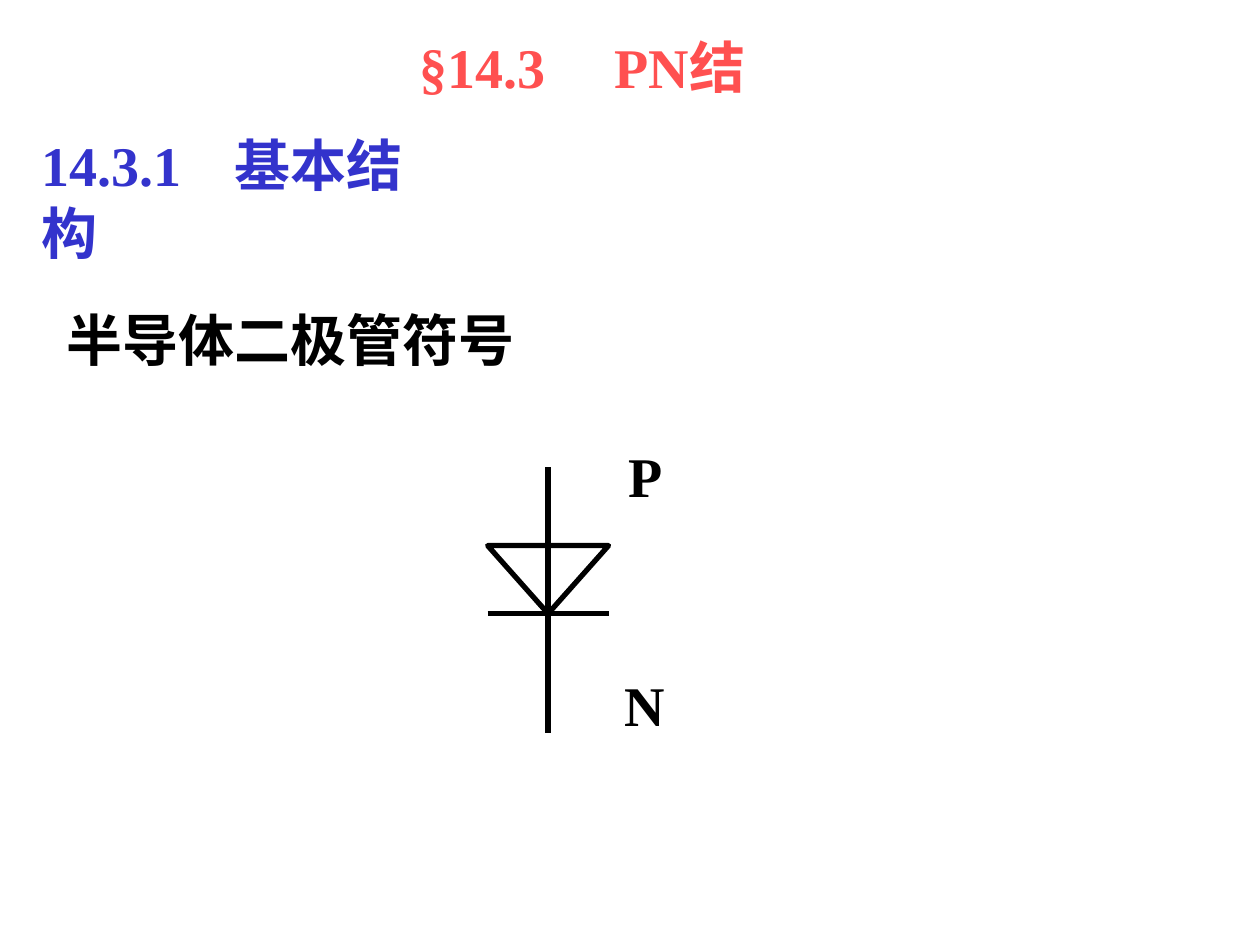
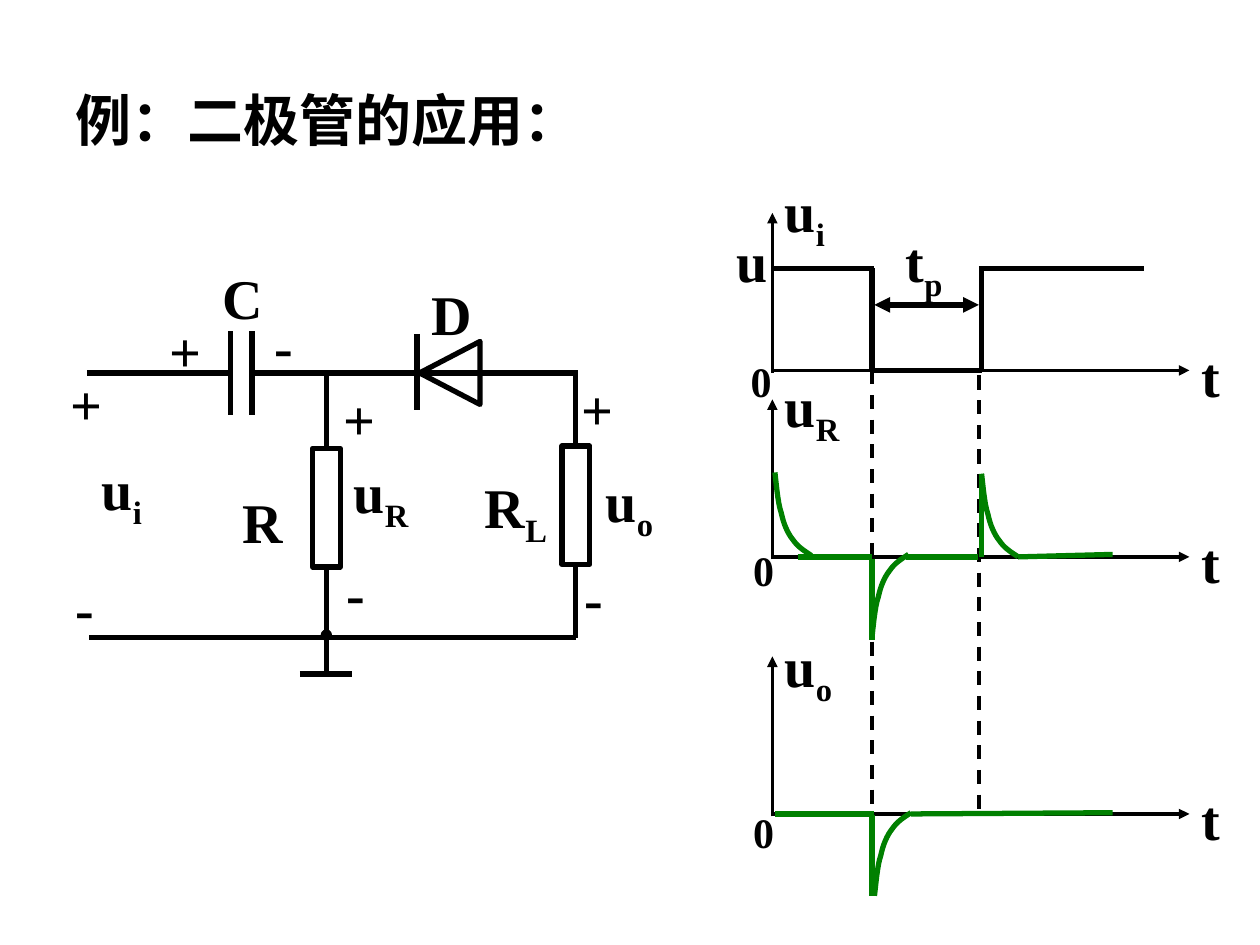
from dataclasses import dataclass

from lxml import etree
from pptx import Presentation
from pptx.dml.color import RGBColor
from pptx.enum import dml, shapes, text
from pptx.oxml import ns
from pptx.util import Inches, Pt


@dataclass(frozen=True)
class Theme:
    ink: str = "000000"
    title: str = "FF5050"
    section: str = "3333CC"
    signal: str = "008000"
    font: str = "Times New Roman"
    body: int = 32
    small: int = 24
    thick: float = 3
    thin: float = 2


THEME = Theme()

HEADINGS = [
    ("半导体二极管符号", (0.23, 2.37, 4.15, 0.64), dict(centred=True)),
    ("§14.3\tPN结", (3.23, 0.21, 3.33, 0.64), dict(color=THEME.title, tab=1.55)),
    ("14.3.1\t基本结构", (0.23, 0.99, 3.47, 1.17), dict(color=THEME.section, tab=1.53)),
]
DIODE_SYMBOL = (3.87, 4.33, 0.96, 0.54)
DIODE_LEAD = (3.71, 5.82)
TERMINALS = [("P", 3.45), ("N", 5.27)]

EXAMPLE_TITLE = "例：二极管的应用："
TOP_WIRE, BOTTOM_WIRE = 2.96, 5.06
R_X, LOAD_X = 2.59, 4.57
CIRCUIT_WIRES = [
    (0.69, TOP_WIRE, 1.83, TOP_WIRE),
    (1.83, 2.63, 1.83, 3.29),
    (2, 2.63, 2, 3.29),
    (2, TOP_WIRE, LOAD_X, TOP_WIRE),
    (3.31, 2.65, 3.31, 3.25),
    (2.96, TOP_WIRE, 4.23, TOP_WIRE),
    (LOAD_X, BOTTOM_WIRE, 0.71, BOTTOM_WIRE),
    (R_X, BOTTOM_WIRE, R_X, 5.33),
    (2.38, 5.35, 2.79, 5.35),
]
CIRCUIT_DIODE = (3.32, 2.72, 0.5, 0.48)
RESISTORS = [(R_X, 3.56, 2.96, 5.08), (LOAD_X, 3.54, 2.94, 5.06)]
RESISTOR_SIZE = (0.22, 0.94)
DOT = 0.08
PARTS = [
    ("R", 1.83, 3.82), ("C", 1.67, 2.04), ("D", 3.33, 2.17),
    ("R_L", 3.75, 3.7), ("u_i", 0.71, 3.56), ("u_R", 2.71, 3.58), ("u_o", 4.71, 3.65),
]
POLARITIES = {
    "+": [(0.46, 2.88), (2.63, 3), (4.52, 2.92), (1.25, 2.46)],
    "-": [(0.5, 4.5), (2.08, 2.42), (4.54, 4.42), (2.65, 4.38)],
}

ORIGIN, FALL, RISE, AXIS_END = 6.13, 6.92, 7.79, 9.44
UI_BASE, UR_BASE, UO_BASE = 2.94, 4.42, 6.46
UI_HIGH = 2.13
PLOTS = [
    ("u_i", UI_BASE, 1.35, (5.86, 2.77)),
    ("u_o", UO_BASE, 4.96, (5.88, 6.35)),
    ("u_R", UR_BASE, 2.9, (5.88, 4.27)),
]
GUIDES = [(FALL, UI_BASE, FALL, 6.48), (7.77, 2.98, 7.77, UO_BASE)]
INPUT_PULSE = [
    (ORIGIN, UI_HIGH, 6.94, UI_HIGH),
    (FALL, UI_HIGH, FALL, UI_BASE),
    (6.94, UI_BASE, RISE, UI_BASE),
    (RISE, UI_BASE, RISE, UI_HIGH),
    (7.77, UI_HIGH, 9.08, UI_HIGH),
]
RESPONSES = [
    (FALL, 7.11, FALL, 6.47),
    (6.15, UO_BASE, 6.94, UO_BASE),
    (7.23, UO_BASE, 8.83, 6.45),
    (6.33, UR_BASE, FALL, UR_BASE),
    (FALL, 4.44, FALL, 5.08),
    (7.19, UR_BASE, 7.76, UR_BASE),
    (8.08, UR_BASE, 8.83, 4.4),
    (RISE, 3.77, RISE, UR_BASE),
]
DECAYS = [(6.94, 6.45, 1), (FALL, 4.4, 1), (RISE, UR_BASE, -1), (6.15, 4.41, -1)]
DECAY_CURVES = [
    [(0.29, 0), (0.23, 0.04), (0.18, 0.07), (0.14, 0.13)],
    [(0.14, 0.13), (0.1, 0.18), (0.07, 0.25), (0.05, 0.34)],
    [(0.05, 0.34), (0.02, 0.43), (0.01, 0.59), (0, 0.66)],
]
CURVE_STEPS = 8


def rgb(color):
    return RGBColor.from_string(color)


def add_text(slide, content, left, top, width=0.65, height=0.64, *, color=THEME.ink,
             size=THEME.body, centred=False, wrap=True, tab=None):
    box = slide.shapes.add_textbox(*map(Inches, (left, top, width, height)))
    frame = box.text_frame
    frame.word_wrap = wrap
    frame.auto_size = text.MSO_AUTO_SIZE.SHAPE_TO_FIT_TEXT
    paragraph = frame.paragraphs[0]
    if centred:
        paragraph.alignment = text.PP_ALIGN.CENTER
        frame.vertical_anchor = text.MSO_ANCHOR.MIDDLE
    if tab:
        stops = etree.SubElement(paragraph._p.get_or_add_pPr(), ns.qn("a:tabLst"))
        etree.SubElement(stops, ns.qn("a:tab"), pos=str(Inches(tab)), algn="l")
    for level, part in enumerate(content.split("_")):
        run = paragraph.add_run()
        run.text = part
        run.font.name = THEME.font
        run.font.size = Pt(size)
        run.font.bold = True
        run.font.color.rgb = rgb(color)
        if level:
            run._r.get_or_add_rPr().set("baseline", "-25000")


def add_line(slide, x1, y1, x2, y2, *, color=THEME.ink, width=THEME.thick,
             dashed=False, arrows=()):
    line = slide.shapes.add_connector(
        shapes.MSO_CONNECTOR.STRAIGHT, *map(Inches, (x1, y1, x2, y2)))
    line.line.color.rgb = rgb(color)
    line.line.width = Pt(width)
    if dashed:
        line.line.dash_style = dml.MSO_LINE.DASH
    outline = line.line._get_or_add_ln()
    for end in arrows:
        etree.SubElement(outline, ns.qn(f"a:{end}"), type="triangle")
    etree.SubElement(line._element.spPr, ns.qn("a:effectLst"))
    return line


def style_outline(shape, color=THEME.ink, width=THEME.thick):
    shape.shadow.inherit = False
    shape.fill.background()
    shape.line.color.rgb = rgb(color)
    shape.line.width = Pt(width)
    return shape


def add_outline(slide, kind, box, rotation=0):
    shape = style_outline(slide.shapes.add_shape(kind, *map(Inches, box)))
    shape.rotation = rotation
    return shape


def add_resistor(slide, center, top, wire_top, wire_bottom):
    width, height = RESISTOR_SIZE
    body = add_outline(slide, shapes.MSO_SHAPE.RECTANGLE,
                       (center - width / 2, top, width, height))
    add_line(slide, center, wire_top, center, top).end_connect(body, 0)
    add_line(slide, center, top + height, center, wire_bottom).begin_connect(body, 2)


def bezier_point(curve, t):
    weights = ((1 - t) ** 3, 3 * t * (1 - t) ** 2, 3 * t ** 2 * (1 - t), t ** 3)
    return tuple(sum(w * point[axis] for w, point in zip(weights, curve)) for axis in (0, 1))


def add_decay(slide, left, base, direction):
    offsets = [DECAY_CURVES[0][0]] + [
        bezier_point(curve, step / CURVE_STEPS)
        for curve in DECAY_CURVES for step in range(1, CURVE_STEPS + 1)]
    points = [(Inches(left + x), Inches(base + direction * y)) for x, y in offsets]
    builder = slide.shapes.build_freeform(*points[0])
    builder.add_line_segments(points[1:], close=False)
    style_outline(builder.convert_to_shape(), THEME.signal)


def add_plot(slide, label, base, label_top, zero):
    axis = dict(width=THEME.thin, arrows=["tailEnd"])
    add_line(slide, ORIGIN, base + 0.02, ORIGIN, base - 1.25, **axis)
    add_line(slide, ORIGIN, base, AXIS_END, base, **axis)
    add_text(slide, "t", AXIS_END, base - 0.28, 0.46)
    add_text(slide, label, ORIGIN, label_top, 1.1, 0.71)
    add_text(slide, "0", *zero, 0.36, 0.5, size=THEME.small, wrap=False)


def build_symbol_slide(slide):
    left, top, width, height = DIODE_SYMBOL
    center, bar = left + width / 2, top + height
    add_outline(slide, shapes.MSO_SHAPE.ISOSCELES_TRIANGLE, DIODE_SYMBOL, 180)
    add_line(slide, left, bar, left + width, bar)
    add_line(slide, center, DIODE_LEAD[0], center, DIODE_LEAD[1])
    for terminal, terminal_top in TERMINALS:
        add_text(slide, terminal, left + width, terminal_top, 0.58, centred=True)
    for heading, box, style in HEADINGS:
        add_text(slide, heading, *box, **style)


def build_circuit(slide):
    for wire in CIRCUIT_WIRES:
        add_line(slide, *wire)
    add_outline(slide, shapes.MSO_SHAPE.ISOSCELES_TRIANGLE, CIRCUIT_DIODE, 270)
    for resistor in RESISTORS:
        add_resistor(slide, *resistor)
    dot = add_outline(slide, shapes.MSO_SHAPE.OVAL, (R_X - DOT / 2, 5, DOT, DOT))
    dot.fill.solid()
    dot.fill.fore_color.rgb = rgb(THEME.ink)
    dot.line.width = Pt(0.75)
    for part, left, top in PARTS:
        add_text(slide, part, left, top, *((0.9, 0.71) if "_" in part else ()))
    for sign, places in POLARITIES.items():
        for place in places:
            add_text(slide, sign, *place)


def build_waveforms(slide):
    for plot in PLOTS:
        add_plot(slide, *plot)
    for segment in INPUT_PULSE:
        add_line(slide, *segment)
    add_line(slide, 6.94, 2.42, 7.77, 2.42, arrows=["headEnd", "tailEnd"])
    add_text(slide, "u", 5.75, 1.75, 0.45, wrap=False)
    add_text(slide, "t_p", 7.09, 1.75, 0.49, 0.71, wrap=False)
    for segment in RESPONSES:
        add_line(slide, *segment, color=THEME.signal)
    for decay in DECAYS:
        add_decay(slide, *decay)


def build_example_slide(slide):
    add_text(slide, EXAMPLE_TITLE, 0.5, 0.63, 3.85)
    for guide in GUIDES:
        add_line(slide, *guide, width=THEME.thin, dashed=True)
    build_circuit(slide)
    build_waveforms(slide)


def main():
    deck = Presentation()
    deck.slide_width, deck.slide_height = Inches(10), Inches(7.5)
    for build in (build_symbol_slide, build_example_slide):
        build(deck.slides.add_slide(deck.slide_layouts[6]))
    deck.save("out.pptx")


if __name__ == "__main__":
    main()
